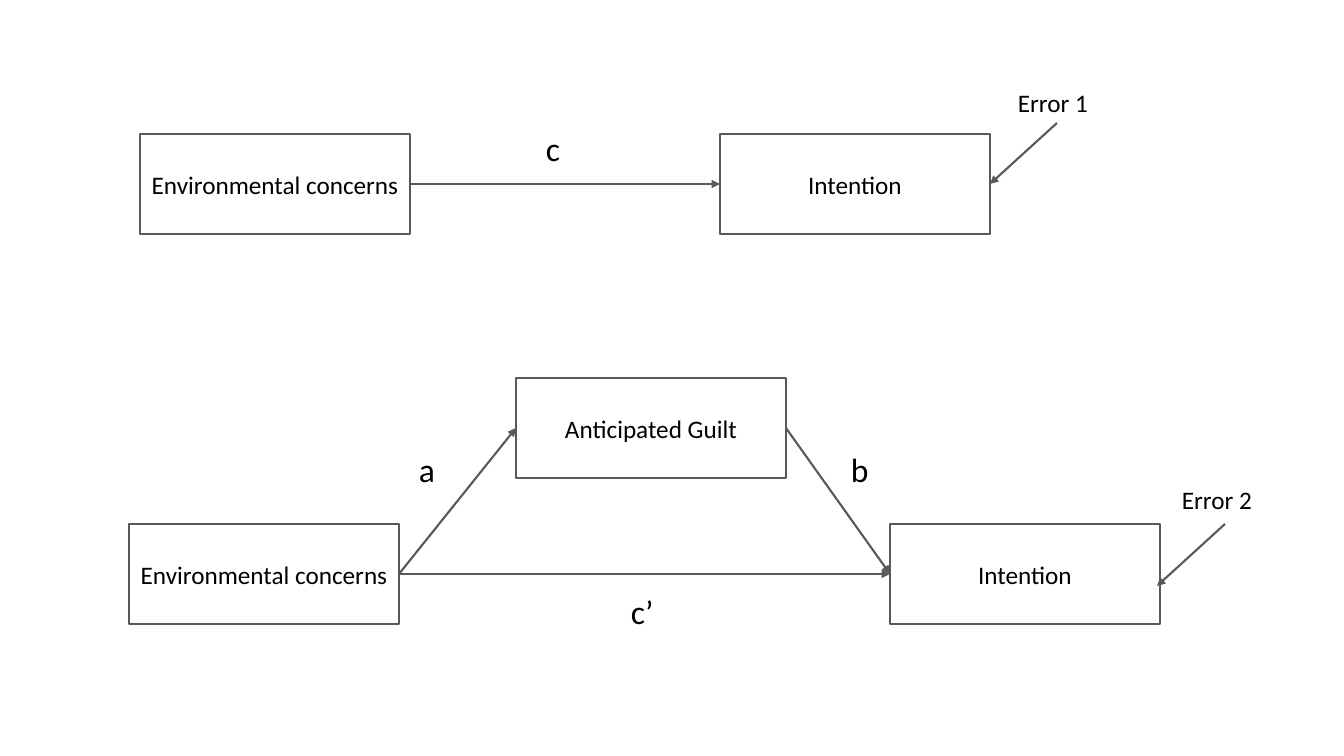
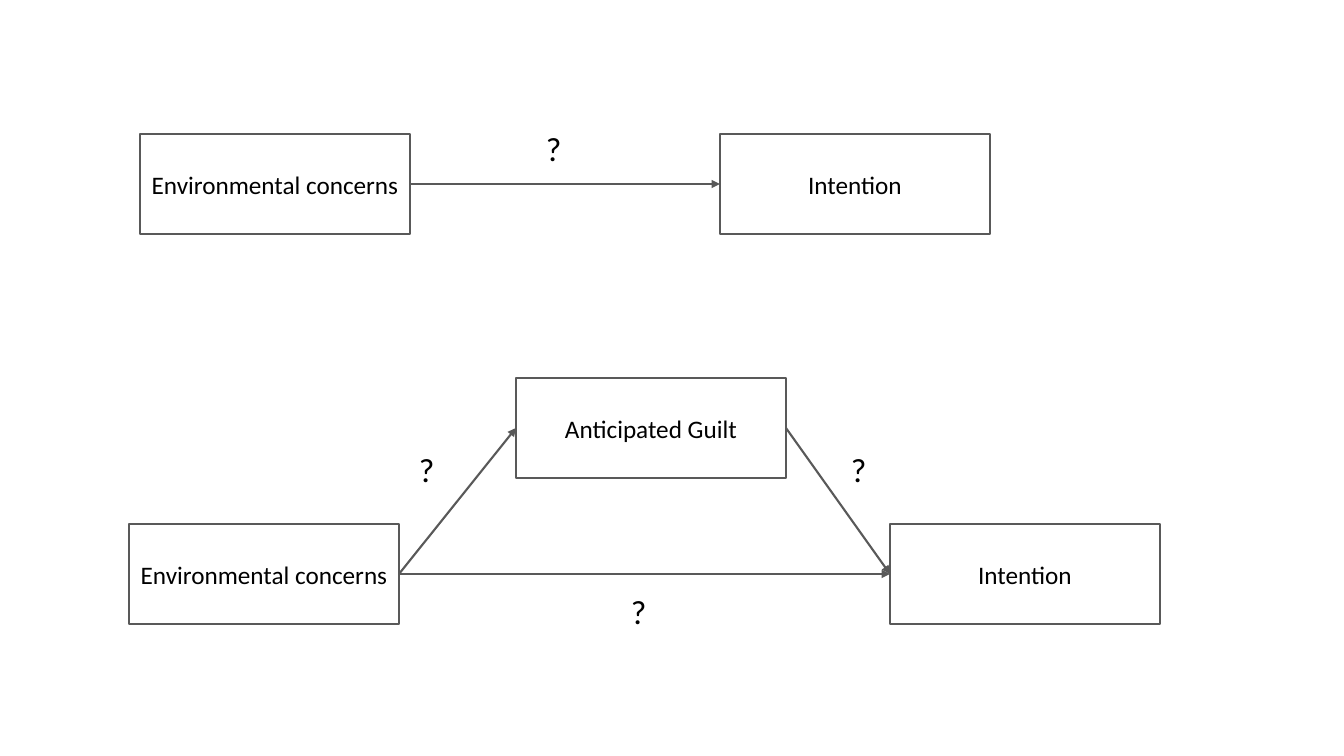
from dataclasses import dataclass

from lxml import etree
from pptx import Presentation
from pptx.dml.color import RGBColor
from pptx.enum.shapes import MSO_CONNECTOR, MSO_SHAPE
from pptx.enum.text import MSO_ANCHOR, MSO_AUTO_SIZE, PP_ALIGN
from pptx.oxml.ns import qn
from pptx.util import Emu, Pt

RECTANGLE = MSO_SHAPE.RECTANGLE
STRAIGHT = MSO_CONNECTOR.STRAIGHT
MIDDLE = MSO_ANCHOR.MIDDLE
CENTER, LEFT = PP_ALIGN.CENTER, PP_ALIGN.LEFT
FIT_SHAPE = MSO_AUTO_SIZE.SHAPE_TO_FIT_TEXT

SLIDE_W, SLIDE_H = 1344, 756
EMU_PER_PX = 12192000 / SLIDE_W
BOX_W, BOX_H = 270, 100
LEFT_SIDE, RIGHT_SIDE = 1, 3


@dataclass(frozen=True)
class Theme:
    font: str = "Calibri"
    text: RGBColor = RGBColor(0, 0, 0)
    line: RGBColor = RGBColor(0x59, 0x59, 0x59)
    line_width: Pt = Pt(1.5)
    body: Pt = Pt(18)
    symbol: Pt = Pt(24)


def px(*lengths):
    return [Emu(round(length * EMU_PER_PX)) for length in lengths]


class Diagram:
    """Holds the style and the slide being drawn."""

    def __init__(self, theme):
        self.theme = theme
        self.deck = Presentation()
        self.deck.slide_width, self.deck.slide_height = px(SLIDE_W, SLIDE_H)
        self.slide = None

    def new_slide(self):
        self.slide = self.deck.slides.add_slide(self.deck.slide_layouts[6])

    def set_text(self, frame, text, size, align):
        frame.text = text
        paragraph = frame.paragraphs[0]
        paragraph.alignment = align
        font = paragraph.runs[0].font
        font.name, font.size = self.theme.font, size
        font.color.rgb = self.theme.text

    def outline(self, line):
        line.color.rgb = self.theme.line
        line.width = self.theme.line_width

    def variable(self, text, x, y):
        box = self.slide.shapes.add_shape(RECTANGLE, *px(x, y, BOX_W, BOX_H))
        box.shadow.inherit = False
        box.fill.background()
        self.outline(box.line)
        box.text_frame.vertical_anchor = MIDDLE
        self.set_text(box.text_frame, text, self.theme.body, CENTER)
        return box

    def label(self, text, x, y, w, h, size, wrap=True):
        frame = self.slide.shapes.add_textbox(*px(x, y, w, h)).text_frame
        frame.word_wrap = wrap
        frame.auto_size = FIT_SHAPE
        self.set_text(frame, text, size, LEFT)

    def symbol(self, text, x, y, w=36, wrap=False):
        self.label(text, x, y, w, 50, self.theme.symbol, wrap)

    def error(self, text, x, y):
        self.label(text, x, y, 131, 40, self.theme.body)

    def arrow(self, start=(0, 0), end=(0, 0), source=None, target=None):
        """Run from source's right side, or start, to a box side, or end."""
        connector = self.slide.shapes.add_connector(STRAIGHT, *px(*start, *end))
        if source is not None:
            connector.begin_connect(source, RIGHT_SIDE)
        if target is not None:
            connector.end_connect(*target)
        self.outline(connector.line)
        properties = connector.element.spPr
        line = properties.find(qn("a:ln"))
        etree.SubElement(line, qn("a:tailEnd"), type="triangle")
        etree.SubElement(properties, qn("a:effectLst"))

    def path_models(self, total, to_mediator, from_mediator, direct, errors=()):
        self.new_slide()

        # Direct model
        concerns = self.variable("Environmental concerns", 140, 134)
        intention = self.variable("Intention", 720, 134)
        self.arrow(source=concerns, target=(intention, LEFT_SIDE))
        self.symbol(total, 536, 123)

        # Mediated model
        mediated_concerns = self.variable("Environmental concerns", 129, 524)
        mediated_intention = self.variable("Intention", 890, 524)
        guilt = self.variable("Anticipated Guilt", 516, 378)
        for source, target in ((mediated_concerns, guilt),
                               (mediated_concerns, mediated_intention),
                               (guilt, mediated_intention)):
            self.arrow(source=source, target=(target, LEFT_SIDE))
        self.symbol(direct, 621, 586, w=60, wrap=True)
        self.symbol(to_mediator, 409, 444)
        self.symbol(from_mediator, 841, 444)

        # Error terms
        if errors:
            first, second = errors
            self.error(first, 1008, 82)
            self.arrow(start=(1057, 123), target=(intention, RIGHT_SIDE))
            self.error(second, 1172, 479)
            self.arrow(start=(1225, 524), end=(1157, 586))


def main():
    diagram = Diagram(Theme())
    diagram.path_models("c", "a", "b", "c’", errors=("Error 1", "Error 2"))
    diagram.path_models("?", "?", "?", "?")
    diagram.deck.save("out.pptx")


if __name__ == "__main__":
    main()
